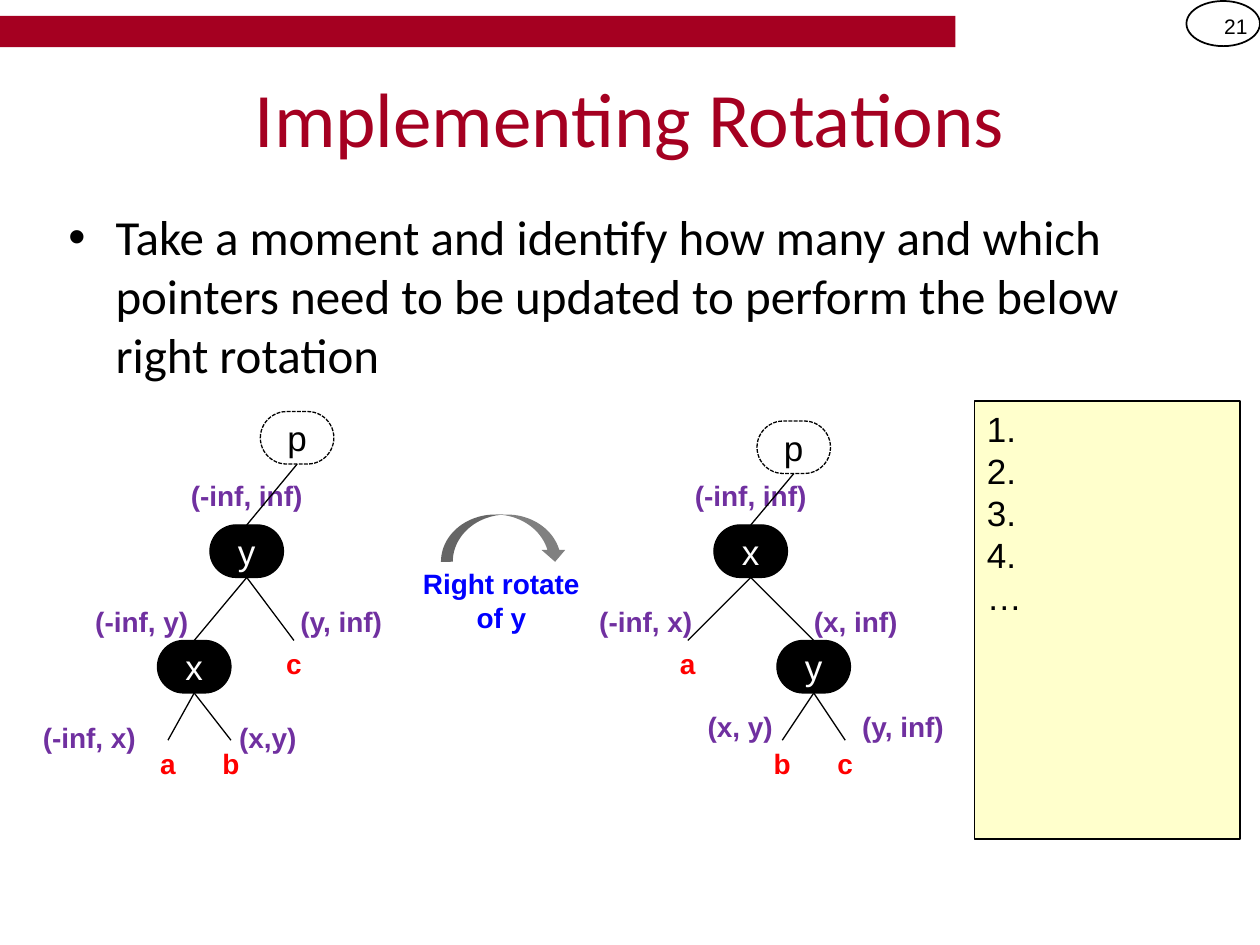
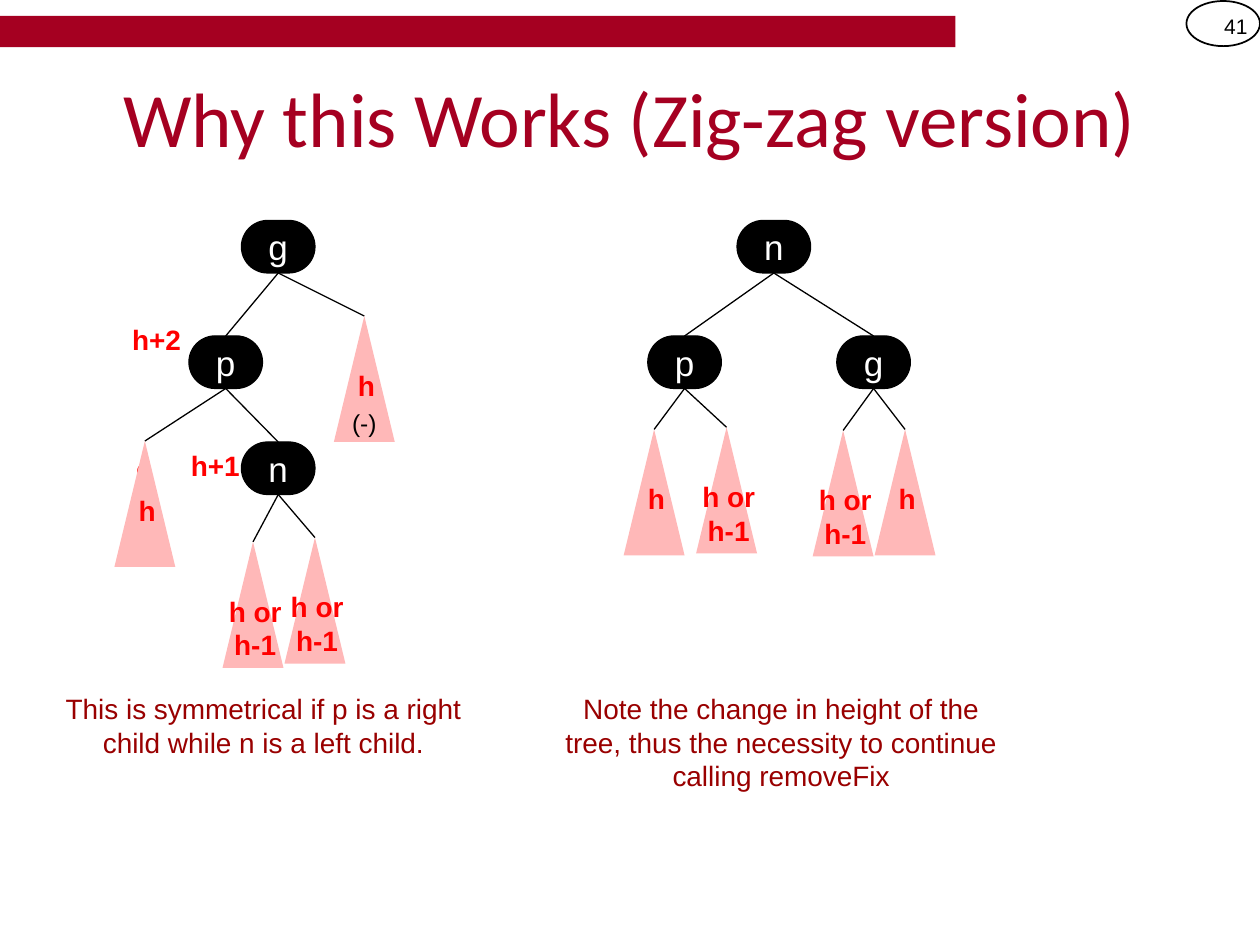
from pptx import Presentation
from pptx.dml.color import RGBColor
from pptx.enum.dml import MSO_LINE
from pptx.enum.shapes import MSO_CONNECTOR, MSO_SHAPE
from pptx.enum.text import MSO_ANCHOR, MSO_AUTO_SIZE, PP_ALIGN
from pptx.oxml.ns import qn
from pptx.util import Emu, Inches, Pt
from lxml.etree import SubElement

# Colours
CRIMSON = RGBColor(0xA5, 0x00, 0x21)
MAROON = RGBColor(0x99, 0x00, 0x00)
BLACK = RGBColor(0, 0, 0)
WHITE = RGBColor(0xFF, 0xFF, 0xFF)
RED = RGBColor(0xFF, 0, 0)
BLUE = RGBColor(0, 0, 0xFF)
PURPLE = RGBColor(0x70, 0x30, 0xA0)
PINK = RGBColor(0xFF, 0xB8, 0xB8)
CREAM = RGBColor(0xFF, 0xFF, 0xCC)
GRAY = RGBColor(0x80, 0x80, 0x80)

# Grid of 120 columns by 90 rows, twelve to the inch
CELL = Inches(1) / 12
NODE_W, NODE_H = 7, 5
TREE_W, TREE_H = 5.8, 12
ROW_H = 4.4


def grid(*cells):
    return [Emu(round(n * CELL)) for n in cells]


def put(item, form):
    for name, value in form.items():
        setattr(item, name, value)


def write(shape, text, size, color, font="Arial", bold=False,
          align=PP_ALIGN.CENTER, **frame):
    body = shape.text_frame
    put(body, {"word_wrap": True, "auto_size": MSO_AUTO_SIZE.NONE, **frame})
    body.text = text
    for para in body.paragraphs:
        para.alignment = align
        put(para.runs[0].font, {"name": font, "size": Pt(size), "bold": bold})
        para.runs[0].font.color.rgb = color


def draw(slide, kind, box, fill=None, line=None, width=0.75):
    shape = slide.shapes.add_shape(kind, *grid(*box))
    shape.shadow.inherit = False
    for part, color in ((shape.fill, fill), (shape.line.fill, line)):
        if color is None:
            part.background()
        else:
            part.solid()
            part.fore_color.rgb = color
    if line is not None:
        shape.line.width = Pt(width)
    return shape


def label(slide, text, mid, top, width=8, color=RED, size=16, bold=True,
          rows=1):
    box = slide.shapes.add_textbox(
        *grid(mid - width / 2, top, width, ROW_H + 3.2 * (rows - 1)))
    write(box, text, size, color, bold=bold)


def node(slide, text, mid, top, ghost=False):
    shape = draw(slide, MSO_SHAPE.ROUNDED_RECTANGLE,
                 (mid - NODE_W / 2, top, NODE_W, NODE_H),
                 WHITE if ghost else BLACK, BLACK)
    shape.adjustments[0] = 0.5
    if ghost:
        shape.line.dash_style = MSO_LINE.SQUARE_DOT
    write(shape, text, 20, BLACK if ghost else WHITE,
          margin_left=0, margin_right=0, vertical_anchor=MSO_ANCHOR.MIDDLE)


def edge(slide, top, end):
    """Line from the foot of a node to the top of its child."""
    x, y = top
    line = slide.shapes.add_connector(
        MSO_CONNECTOR.STRAIGHT, *grid(x, y + NODE_H, *end))
    line.line.color.rgb = BLACK
    line.line.width = Pt(0.75)
    SubElement(line.element.spPr, qn("a:effectLst"))


def tree(slide, nodes, leaves, ghost=None):
    """Nodes: name, place, parent. Leaves: place, parent."""
    spots = {name: spot for name, spot, _ in nodes}
    for name, spot, _ in nodes:
        node(slide, name, *spot, ghost=name == ghost)
    for spot, above in [n[1:] for n in nodes if n[2]] + leaves:
        edge(slide, spots[above], spot)


def wedge(slide, text, mid, top):
    """Triangle for a subtree, with its height."""
    draw(slide, MSO_SHAPE.ISOSCELES_TRIANGLE,
         (mid - TREE_W / 2, top, TREE_W, TREE_H), PINK)
    label(slide, text, mid + 0.2, top + 4.4, rows=1 if text == "h" else 2)


def start(deck, layout, title, number):
    slide = deck.slides.add_slide(deck.slide_layouts[layout])
    # Band and page number
    draw(slide, MSO_SHAPE.RECTANGLE, (0, 1.5, 91, 3), CRIMSON)
    draw(slide, MSO_SHAPE.OVAL, (113, 0.1, 7, 4.3), None, BLACK, 1)
    page = slide.shapes.add_textbox(*grid(113, 0.1, 7, 4.8))
    write(page, number, 12, BLACK, align=PP_ALIGN.RIGHT,
          vertical_anchor=MSO_ANCHOR.MIDDLE)
    # Title
    place(slide.shapes.title, (6, 3.6, 108, 15))
    write(slide.shapes.title, title, 44, CRIMSON, "Calibri",
          vertical_anchor=MSO_ANCHOR.MIDDLE)
    return slide


def place(shape, box):
    put(shape, dict(zip(("left", "top", "width", "height"), grid(*box))))


def rotate(deck):
    slide = start(deck, 1, "Implementing Rotations", "21")
    body = slide.placeholders[1]
    place(body, (5.3, 19.1, 106, 15.5))
    write(body, "Take a moment and identify how many and which pointers need "
          "to be updated to perform the below right rotation", 28, BLACK,
          "Calibri", align=PP_ALIGN.LEFT)

    # Key ranges
    for text, mid, top in (
            ("(-inf, inf)", 23.5, 45), ("(-inf, y)", 13.5, 57),
            ("(y, inf)", 32.5, 57), ("(-inf, x)", 8.5, 68),
            ("(x,y)", 25.5, 68), ("(-inf, inf)", 71.5, 45),
            ("(-inf, x)", 61.5, 57), ("(x, inf)", 81.5, 57),
            ("(x, y)", 70.5, 67), ("(y, inf)", 86, 67)):
        label(slide, text, mid, top, 15, PURPLE)

    # Trees before and after the rotation
    for nodes, leaves in (
            ([("p", (28.3, 39.2), None), ("y", (23.5, 50), "p"),
              ("x", (18.5, 61), "y")],
             [("a", (16, 70.5), "x"), ("b", (22, 70.5), "x"),
              ("c", (28, 61), "y")]),
            ([("p", (75.6, 40.1), None), ("x", (71.5, 50), "p"),
              ("y", (77.5, 61), "x")],
             [("a", (65.5, 61), "x"), ("b", (74.5, 70.5), "y"),
              ("c", (80.5, 70.5), "y")])):
        tree(slide, nodes, [leaf[1:] for leaf in leaves], ghost="p")
        for text, spot, _ in leaves:
            label(slide, text, *spot, width=6)

    # Rotation arrow
    draw(slide, MSO_SHAPE.CURVED_DOWN_ARROW, (42, 49, 12, 4.5), GRAY)
    label(slide, "Right rotate of y", 47.75, 53.4, 17.5, BLUE, rows=2)

    # Answer box
    note = draw(slide, MSO_SHAPE.RECTANGLE, (92.8, 38.2, 25.3, 41.7),
                CREAM, BLACK)
    write(note, "1.\n2.\n3.\n4.\n…", 20, BLACK, align=PP_ALIGN.LEFT,
          vertical_anchor=MSO_ANCHOR.TOP)


def zigzag(deck):
    slide = start(deck, 5, "Why this Works (Zig-zag version)", "41")
    label(slide, "c", 13.7, 42.4, 6)

    # Trees before and after the fix; leaves are subtrees
    for nodes, wedges in (
            ([("g", (26.5, 21), None), ("p", (21.5, 32), "g"),
              ("n", (26.5, 42.1), "p")],
             [("h or h-1", (24.1, 51.6), "n"), ("h or h-1", (30, 51.2), "n"),
              ("h", (13.8, 42), "p"), ("h", (34.7, 30.1), "g")]),
            ([("n", (73.7, 21), None), ("p", (65.2, 32), "n"),
              ("g", (83.2, 32), "n")],
             [("h", (62.3, 40.9), "p"), ("h or h-1", (69.2, 40.7), "p"),
              ("h or h-1", (80.3, 41), "g"), ("h", (86.2, 40.9), "g")])):
        tree(slide, nodes, [item[1:] for item in wedges])
        for text, spot, _ in wedges:
            wedge(slide, text, *spot)

    # Heights and balance
    label(slide, "(-)", 34.7, 38.3, 6, BLACK, 14, False)
    label(slide, "h+1", 20.5, 42.1)
    label(slide, "h+2", 14.9, 30.1)

    # Captions
    for text, mid, rows in (
            ("This is symmetrical if p is a right child while n is a left "
             "child.", 25.1, 2),
            ("Note the change in height of the tree, thus the necessity to "
             "continue calling removeFix", 74.4, 3)):
        label(slide, text, mid, 65.3, 44.9, MAROON, bold=False, rows=rows)


def main():
    deck = Presentation()
    put(deck, {"slide_width": Inches(10), "slide_height": Inches(7.5)})
    rotate(deck)
    zigzag(deck)
    deck.save("out.pptx")


main()
